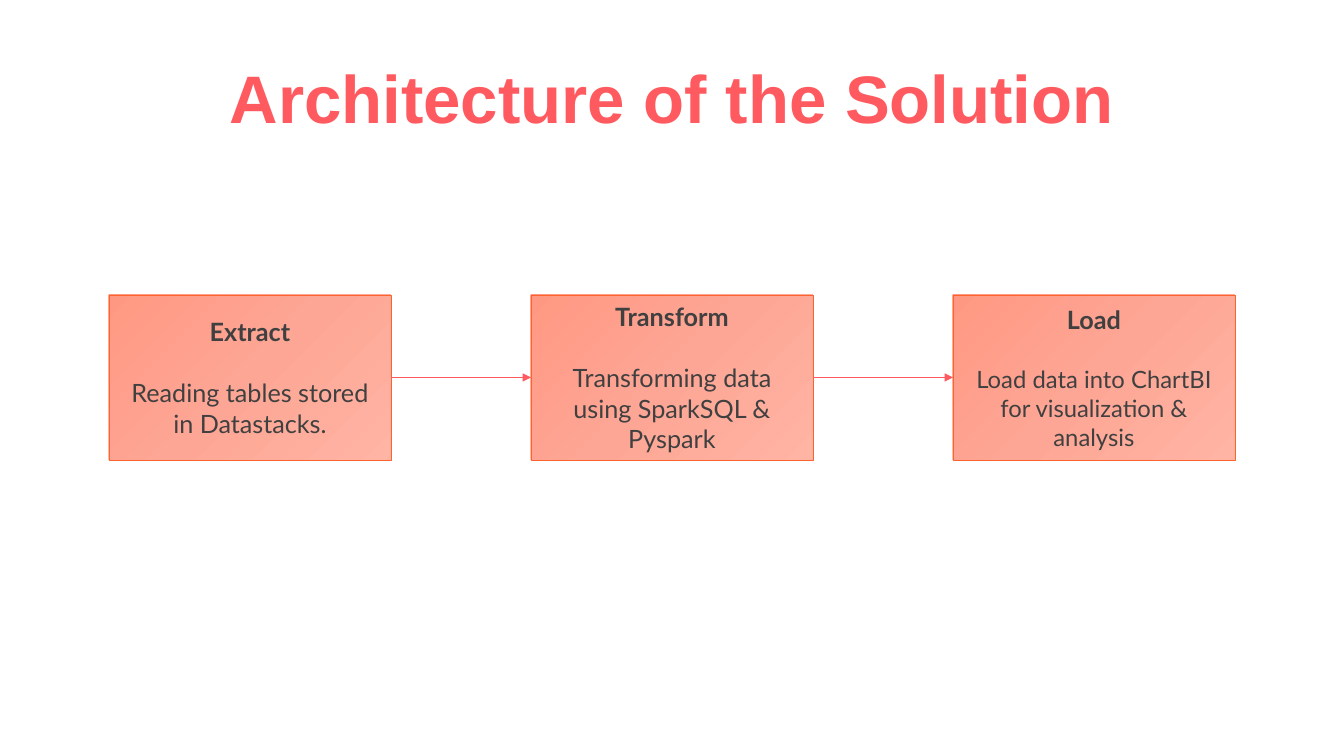
from copy import deepcopy

from lxml.etree import SubElement
from pptx import Presentation
from pptx.dml.color import RGBColor
from pptx.enum.shapes import MSO_CONNECTOR, MSO_SHAPE
from pptx.enum.text import MSO_ANCHOR, PP_ALIGN
from pptx.oxml.ns import qn
from pptx.util import Emu, Pt

PX = 12192000 / 1344  # EMU in one px
WIDTH, HEIGHT = 1344, 756

COLORS = {
    "accent": "FF5A5F",
    "outline": "FB642C",
    "text": "404040",
    "light": "FFB4A4",
    "middle": "FEA695",
    "deep": "FF9882",
}


def px(length):
    return Emu(round(length * PX))


def color(name):
    return RGBColor.from_string(COLORS[name])


def write(para, text, size=18, font="Lato", ink="text", bold=False,
          before=0, spacing=1.0):
    para.alignment = PP_ALIGN.CENTER
    para.space_before = Pt(before)
    para.line_spacing = spacing
    span = para.add_run()
    span.text = text
    span.font.size = Pt(size)
    span.font.name = font
    span.font.bold = bold
    span.font.color.rgb = color(ink)


class FlowPage:
    """Draws the parts of a flow diagram on one page."""

    line_width = Pt(0.5)
    heading_gap = 22

    def __init__(self, deck):
        self.page = deck.slides.add_slide(deck.slide_layouts[6])
        self.shapes = self.page.shapes

    def title(self, text, left, top, width, height):
        box = self.shapes.add_textbox(px(left), px(top), px(width), px(height))
        frame = box.text_frame
        frame.word_wrap = True
        frame.vertical_anchor = MSO_ANCHOR.MIDDLE
        write(frame.paragraphs[0], text, size=48, font="Arial", ink="accent",
              bold=True, spacing=0.9)

    def shade(self, box):
        box.fill.gradient()
        box.fill.gradient_angle = 135
        stop_list = box.element.spPr.find(qn("a:gradFill")).find(qn("a:gsLst"))
        stop_list.insert(1, deepcopy(stop_list[0]))
        stops = zip(box.fill.gradient_stops, ("light", "middle", "deep"), (0, 0.5, 1))
        for stop, name, position in stops:
            stop.color.rgb = color(name)
            stop.position = position

    def step(self, heading, body, body_size, left, top, width, height):
        box = self.shapes.add_shape(MSO_SHAPE.RECTANGLE, px(left), px(top),
                                    px(width), px(height))
        box.shadow.inherit = False
        self.shade(box)
        box.line.color.rgb = color("outline")
        box.line.width = self.line_width
        frame = box.text_frame
        frame.word_wrap = True
        frame.vertical_anchor = MSO_ANCHOR.MIDDLE
        write(frame.paragraphs[0], heading, bold=True)
        write(frame.add_paragraph(), body, size=body_size, before=self.heading_gap)
        return box

    def arrow(self, start, end):
        link = self.shapes.add_connector(MSO_CONNECTOR.STRAIGHT, 0, 0, 0, 0)
        link.begin_connect(start, 3)
        link.end_connect(end, 1)
        link.line.color.rgb = color("accent")
        link.line.width = self.line_width
        SubElement(link.line._get_or_add_ln(), qn("a:tailEnd"), type="triangle")
        SubElement(link.element.spPr, qn("a:effectLst"))


def main():
    deck = Presentation()
    deck.slide_width, deck.slide_height = px(WIDTH), px(HEIGHT)
    flow = FlowPage(deck)

    # Title
    flow.title("Architecture of the Solution", 109, 60, 1126, 83)

    # Steps, left to right at an equal pitch
    steps = [
        ("Extract", "Reading tables stored in Datastacks.", 18),
        ("Transform", "Transforming data using SparkSQL & Pyspark", 18),
        ("Load", "Load data into ChartBI for visualization & analysis", 17),
    ]
    left, pitch = 109, 422
    boxes = [flow.step(*step, left + index * pitch, 295, 282, 165)
             for index, step in enumerate(steps)]

    # Arrows between neighbouring steps
    for start, end in zip(boxes, boxes[1:]):
        flow.arrow(start, end)

    deck.save("out.pptx")


if __name__ == "__main__":
    main()
